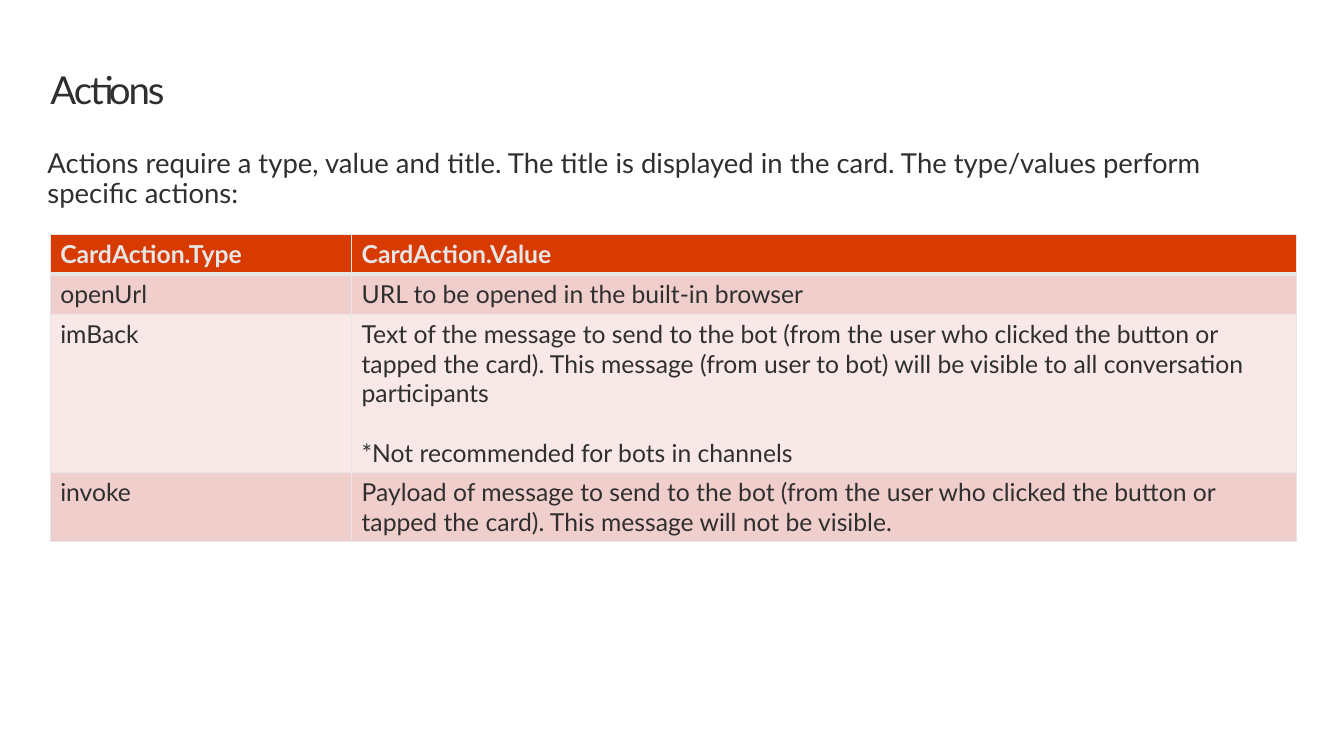
import pptx
import pptx.dml.color
import pptx.enum.text
import pptx.oxml.ns
import pptx.util
from lxml import etree
from pptx.util import Inches, Pt

# Content
TITLE = "Actions"
INTRO = ("Actions require a type, value and title. The title is displayed in the card. "
         "The type/values perform specific actions:")
ACTIONS = [
    ("CardAction.Type", ["CardAction.Value"]),
    ("openUrl", ["URL to be opened in the built-in browser"]),
    ("imBack", ["Text of the message to send to the bot (from the user who clicked the button "
                "or tapped the card). This message (from user to bot) will be visible to all "
                "conversation participants",
                "*Not recommended for bots in channels"]),
    ("invoke", ["Payload of message to send to the bot (from the user who clicked the button "
                "or tapped the card). This message will not be visible."]),
]

# Style
FONT = "Lato"
COLORS = {"text": "2F2F2F", "light": "E6E6E6", "header": "D83B01",
          "odd": "F0CECC", "even": "F8E8E7"}
COLUMN_WIDTHS = [3.05, 9.56]
ROW_HEIGHTS = [0.4, 0.41, 1.6, 0.7]
LEFT, WIDTH = 0.51, 12.61


def rgb(name):
    return pptx.dml.color.RGBColor.from_string(COLORS[name])


def style(para, size, color="text", bold=False):
    para.alignment = pptx.enum.text.PP_ALIGN.LEFT
    para.font.name = FONT
    para.font.size = Pt(size)
    para.font.bold = bold
    para.font.color.rgb = rgb(color)


def set_frame(frame, side, top):
    frame.word_wrap = True
    frame.auto_size = pptx.enum.text.MSO_AUTO_SIZE.NONE
    frame.vertical_anchor = pptx.enum.text.MSO_ANCHOR.TOP
    frame.margin_left = frame.margin_right = Inches(side)
    frame.margin_top = frame.margin_bottom = Inches(top)


def set_borders(cell, row):
    properties = cell._tc.get_or_add_tcPr()
    thick_edge = {0: "lnB", 1: "lnT"}.get(row)
    for edge in ("lnL", "lnR", "lnT", "lnB"):
        line = etree.SubElement(properties, pptx.oxml.ns.qn(f"a:{edge}"),
                                w=str(Pt(3 if edge == thick_edge else 1)))
        fill = etree.SubElement(line, pptx.oxml.ns.qn("a:solidFill"))
        etree.SubElement(fill, pptx.oxml.ns.qn("a:srgbClr"), val=COLORS["light"])


def fill_cell(cell, row, texts):
    set_borders(cell, row)
    cell.fill.solid()
    cell.fill.fore_color.rgb = rgb("header" if row == 0 else "odd" if row % 2 else "even")
    cell.text = "\n".join(texts)
    for index, para in enumerate(cell.text_frame.paragraphs):
        style(para, 18, "light" if row == 0 else "text", row == 0)
        if index:
            para.space_before = Pt(21.6)


deck = pptx.Presentation()
deck.slide_width, deck.slide_height = Inches(13.6), Inches(7.65)
page = deck.slides.add_slide(deck.slide_layouts[5])

# Title
title = page.shapes.title
title.left, title.top = Inches(LEFT), Inches(0.69)
title.width, title.height = Inches(WIDTH), Inches(0.45)
set_frame(title.text_frame, 0, 0)
title.text_frame.text = TITLE
para = title.text_frame.paragraphs[0]
style(para, 28)
para.line_spacing = Pt(32)
para.runs[0]._r.get_or_add_rPr().set("spc", "-150")

# Introduction
intro = page.shapes.add_textbox(Inches(0.32), Inches(1.42), Inches(WIDTH), Inches(0.81))
set_frame(intro.text_frame, 0.16, 0.1)
intro.text_frame.text = INTRO
para = intro.text_frame.paragraphs[0]
style(para, 20)
para.line_spacing = 0.9

# Table of actions
table = page.shapes.add_table(len(ACTIONS), len(COLUMN_WIDTHS), Inches(LEFT), Inches(2.37),
                              Inches(WIDTH), Inches(sum(ROW_HEIGHTS))).table
for column, width in zip(table.columns, COLUMN_WIDTHS):
    column.width = Inches(width)
for row, (kind, values) in enumerate(ACTIONS):
    table.rows[row].height = Inches(ROW_HEIGHTS[row])
    fill_cell(table.cell(row, 0), row, [kind])
    fill_cell(table.cell(row, 1), row, values)

deck.save("out.pptx")
